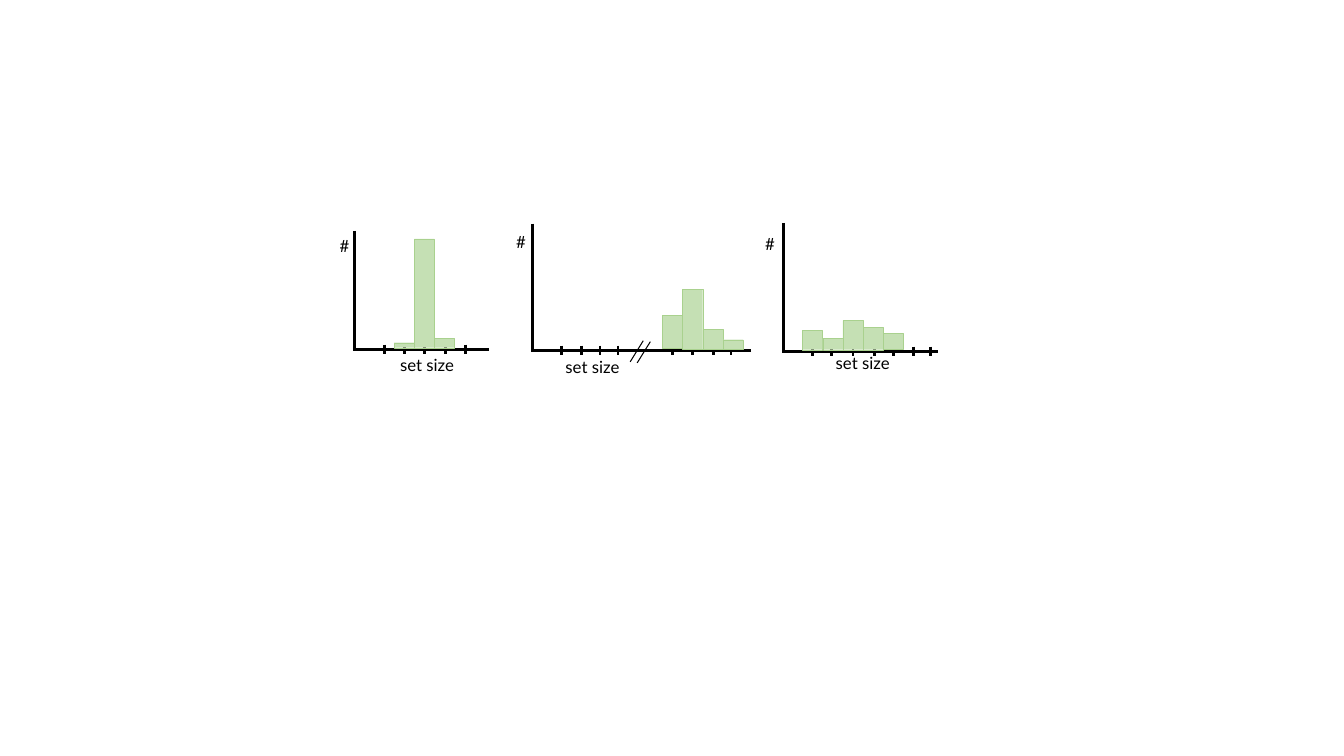
from dataclasses import dataclass

from lxml import etree
from pptx import Presentation
from pptx.dml.color import RGBColor
from pptx.enum.shapes import MSO_CONNECTOR, MSO_SHAPE
from pptx.enum.text import MSO_AUTO_SIZE
from pptx.oxml.ns import qn
from pptx.util import Inches, Pt

STRAIGHT = MSO_CONNECTOR.STRAIGHT
RECTANGLE = MSO_SHAPE.RECTANGLE
FIT_TEXT = MSO_AUTO_SIZE.SHAPE_TO_FIT_TEXT


@dataclass(frozen=True)
class Theme:
    ink: RGBColor = RGBColor(0x00, 0x00, 0x00)
    bar_fill: RGBColor = RGBColor(0xC5, 0xE0, 0xB4)
    bar_line: RGBColor = RGBColor(0xA9, 0xD1, 0x8E)
    font: str = "Lato"
    text_size: Pt = Pt(12)
    axis_width: Pt = Pt(2)
    break_width: Pt = Pt(0.75)
    bar_line_width: Pt = Pt(0.25)


THEME = Theme()
BAR_WIDTH = 0.2
BAR_LIFT = 0.02
TICK_ABOVE, TICK_BELOW = 0.05, 0.04
LABEL_HEIGHT = 0.3


@dataclass(frozen=True)
class Histogram:
    """Axis ends, ticks, bars and labels, all in inches."""
    left: float
    top: float
    right: float
    base: float
    ticks: tuple
    bars_left: float
    bar_heights: tuple
    count_label: tuple  # left, top, width
    size_label: tuple  # left, top, width
    break_marks: tuple = ()  # top right corner of each slanted mark


HISTOGRAMS = (
    Histogram(3.52, 2.29, 4.85, 3.47, (3.81, 4.01, 4.21, 4.42, 4.62),
              3.91, (0.05, 1.08, 0.09),
              (3.27, 2.29, 0.33), (3.87, 3.47, 0.77)),
    Histogram(5.28, 2.22, 7.45, 3.48,
              (5.57, 5.77, 5.95, 6.13, 6.67, 6.87, 7.08, 7.25),
              6.57, (0.33, 0.59, 0.19, 0.09),
              (5.02, 2.25, 0.33), (5.51, 3.49, 0.92),
              ((6.38, 3.38), (6.45, 3.39))),
    Histogram(7.77, 2.21, 9.3, 3.49,
              (8.06, 8.25, 8.46, 8.67, 8.86, 9.06, 9.23),
              7.96, (0.19, 0.11, 0.29, 0.22, 0.16),
              (7.49, 2.27, 0.33), (8.19, 3.45, 0.75)),
)


def add_line(slide, start, end, width):
    line = slide.shapes.add_connector(
        STRAIGHT, *(Inches(value) for value in (*start, *end)))
    line.line.color.rgb = THEME.ink
    line.line.width = width
    etree.SubElement(line._element.spPr, qn("a:effectLst"))


def add_bar(slide, left, base, height):
    bar = slide.shapes.add_shape(
        RECTANGLE, Inches(left), Inches(base - height),
        Inches(BAR_WIDTH), Inches(height))
    bar.shadow.inherit = False
    bar.fill.solid()
    bar.fill.fore_color.rgb = THEME.bar_fill
    bar.line.color.rgb = THEME.bar_line
    bar.line.width = THEME.bar_line_width


def add_label(slide, text, left, top, width):
    box = slide.shapes.add_textbox(
        Inches(left), Inches(top), Inches(width), Inches(LABEL_HEIGHT))
    frame = box.text_frame
    frame.word_wrap = True
    frame.auto_size = FIT_TEXT
    paragraph = frame.paragraphs[0]
    paragraph.text = text
    paragraph.font.name = THEME.font
    paragraph.font.size = THEME.text_size
    paragraph.font.color.rgb = THEME.ink


def add_histogram(slide, histogram):
    left, base = histogram.left, histogram.base
    add_line(slide, (left, histogram.top), (left, base + 0.01), THEME.axis_width)
    add_line(slide, (histogram.right, base), (left, base), THEME.axis_width)
    for tick in histogram.ticks:
        add_line(slide, (tick, base - TICK_ABOVE), (tick, base + TICK_BELOW),
                 THEME.axis_width)
    for mark_right, mark_top in histogram.break_marks:
        add_line(slide, (mark_right, mark_top),
                 (mark_right - 0.13, mark_top + 0.21), THEME.break_width)
    add_label(slide, "#", *histogram.count_label)
    add_label(slide, "set size", *histogram.size_label)
    for index, height in enumerate(histogram.bar_heights):
        add_bar(slide, histogram.bars_left + index * BAR_WIDTH,
                base - BAR_LIFT, height)


def main():
    presentation = Presentation()
    presentation.slide_width = Inches(13.33)
    presentation.slide_height = Inches(7.5)
    slide = presentation.slides.add_slide(presentation.slide_layouts[6])
    for histogram in HISTOGRAMS:
        add_histogram(slide, histogram)
    presentation.save("out.pptx")


if __name__ == "__main__":
    main()
